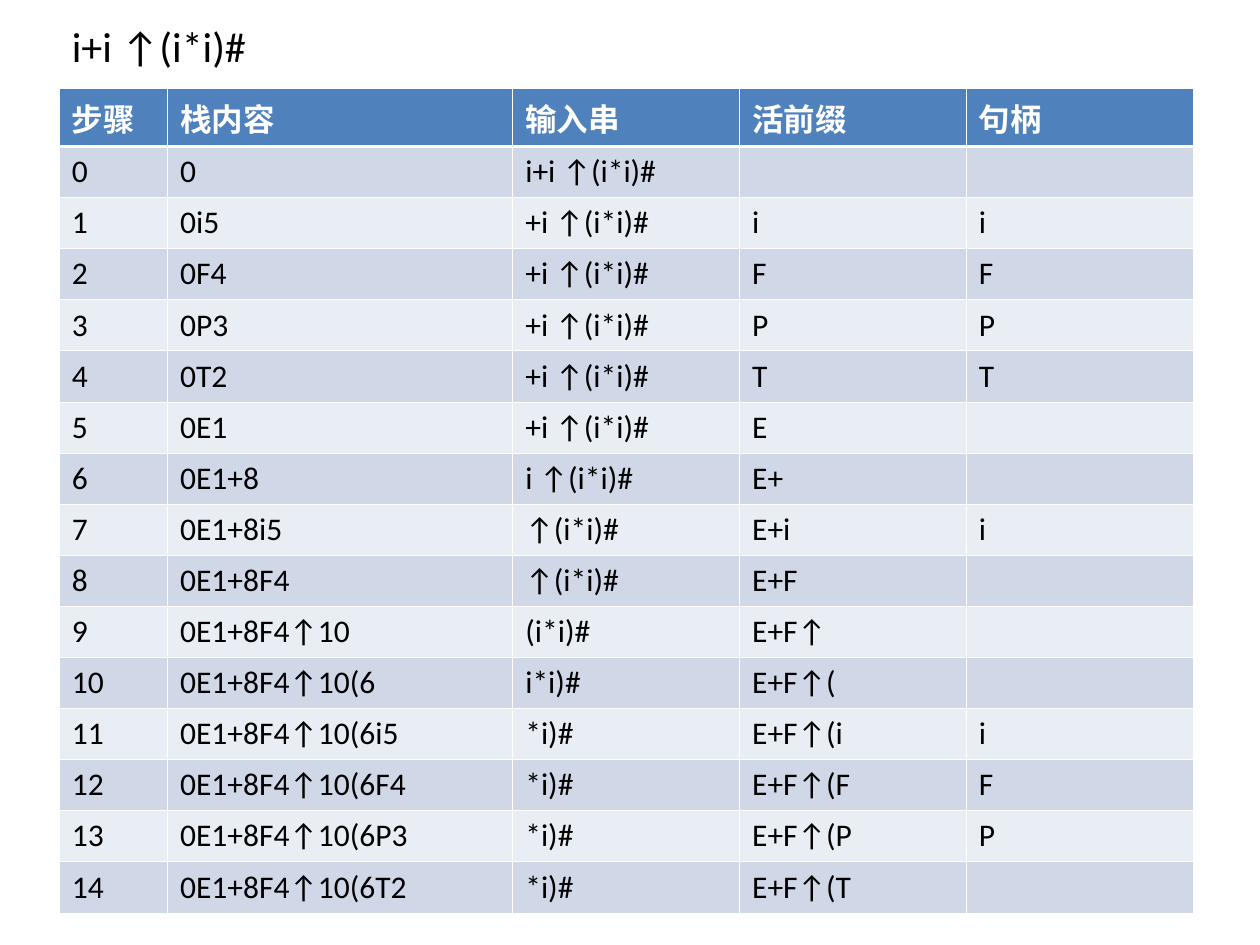
import pptx
import pptx.dml.color
import pptx.enum.text
import pptx.oxml
import pptx.oxml.ns
import pptx.util

Inches, Pt = pptx.util.Inches, pptx.util.Pt
RGB = pptx.dml.color.RGBColor.from_string

# Content
TITLE = "i+i ↑(i*i)#"
HEADS = ("步骤", "栈内容", "输入串", "活前缀", "句柄")
# Stack, input, viable prefix, handle; the step number is the row index
STEPS = [
    ("0", "i+i ↑(i*i)#", "", ""),
    ("0i5", "+i ↑(i*i)#", "i", "i"),
    ("0F4", "+i ↑(i*i)#", "F", "F"),
    ("0P3", "+i ↑(i*i)#", "P", "P"),
    ("0T2", "+i ↑(i*i)#", "T", "T"),
    ("0E1", "+i ↑(i*i)#", "E", ""),
    ("0E1+8", "i ↑(i*i)#", "E+", ""),
    ("0E1+8i5", "↑(i*i)#", "E+i", "i"),
    ("0E1+8F4", "↑(i*i)#", "E+F", ""),
    ("0E1+8F4↑10", "(i*i)#", "E+F↑", ""),
    ("0E1+8F4↑10(6", "i*i)#", "E+F↑(", ""),
    ("0E1+8F4↑10(6i5", "*i)#", "E+F↑(i", "i"),
    ("0E1+8F4↑10(6F4", "*i)#", "E+F↑(F", "F"),
    ("0E1+8F4↑10(6P3", "*i)#", "E+F↑(P", "P"),
    ("0E1+8F4↑10(6T2", "*i)#", "E+F↑(T", ""),
]

# Theme
THEME = {
    "font": "Calibri",
    "title": {"size": Pt(24), "bold": False, "color": "000000"},
    "head": {"size": Pt(18), "bold": True, "color": "FFFFFF"},
    "body": {"size": Pt(18), "bold": False, "color": "000000"},
    "top": "4F81BD",
    "bands": ("D0D8E8", "E9EDF4"),
    "rule": "FFFFFF",
    "thin": Pt(0.45),
    "thick": Pt(1.47),
}

# Layout
LEFT, TOP, WIDTH = 0.47, 0.7, 9
COLS = (0.86, 2.74, 1.8, 1.8, 1.8)
HIGH = 6.49 / (len(STEPS) + 1)


def style(frame, look):
    """Format every paragraph of a text frame."""
    for para in frame.paragraphs:
        para.alignment = pptx.enum.text.PP_ALIGN.LEFT
        para.font.name = THEME["font"]
        para.font.color.rgb = RGB(look["color"])
        for key in ("size", "bold"):
            setattr(para.font, key, look[key])
        for run in para.runs:
            run.font.name = THEME["font"]


def border(cell, sides):
    """Draw the cell borders, given as side and width."""
    props = cell._tc.get_or_add_tcPr()
    for side, width in sides.items():
        props.append(pptx.oxml.parse_xml(
            f'<a:ln{side} {pptx.oxml.ns.nsdecls("a")} w="{width}"><a:solidFill>'
            f'<a:srgbClr val="{THEME["rule"]}"/></a:solidFill></a:ln{side}>'))


def main():
    deck = pptx.Presentation()
    deck.slide_width, deck.slide_height = Inches(10), Inches(7.5)
    slide = deck.slides.add_slide(deck.slide_layouts[5])

    # Title
    title = slide.shapes.title
    spot = {"left": LEFT, "top": 0, "width": WIDTH, "height": 0.72}
    for key, value in spot.items():
        setattr(title, key, Inches(value))
    title.text_frame.text = TITLE
    title.text_frame.vertical_anchor = pptx.enum.text.MSO_ANCHOR.MIDDLE
    style(title.text_frame, THEME["title"])

    # Table grid
    rows = [HEADS] + [(str(n), *step) for n, step in enumerate(STEPS)]
    grid = slide.shapes.add_table(
        len(rows), len(COLS), Inches(LEFT), Inches(TOP),
        Inches(WIDTH), Inches(HIGH * len(rows))).table
    for col, wide in zip(grid.columns, COLS):
        col.width = Inches(wide)

    # Table cells
    thin, thick = THEME["thin"], THEME["thick"]
    for r, row in enumerate(rows):
        grid.rows[r].height = Inches(HIGH)
        fill = THEME["bands"][(r - 1) % 2] if r else THEME["top"]
        sides = {"L": thin, "R": thin,
                 "T": thick if r == 1 else thin,
                 "B": thick if r == 0 else thin}
        for c, text in enumerate(row):
            cell = grid.cell(r, c)
            cell.text = text
            style(cell.text_frame, THEME["body" if r else "head"])
            border(cell, sides)
            cell.fill.solid()
            cell.fill.fore_color.rgb = RGB(fill)

    deck.save("out.pptx")


if __name__ == "__main__":
    main()
